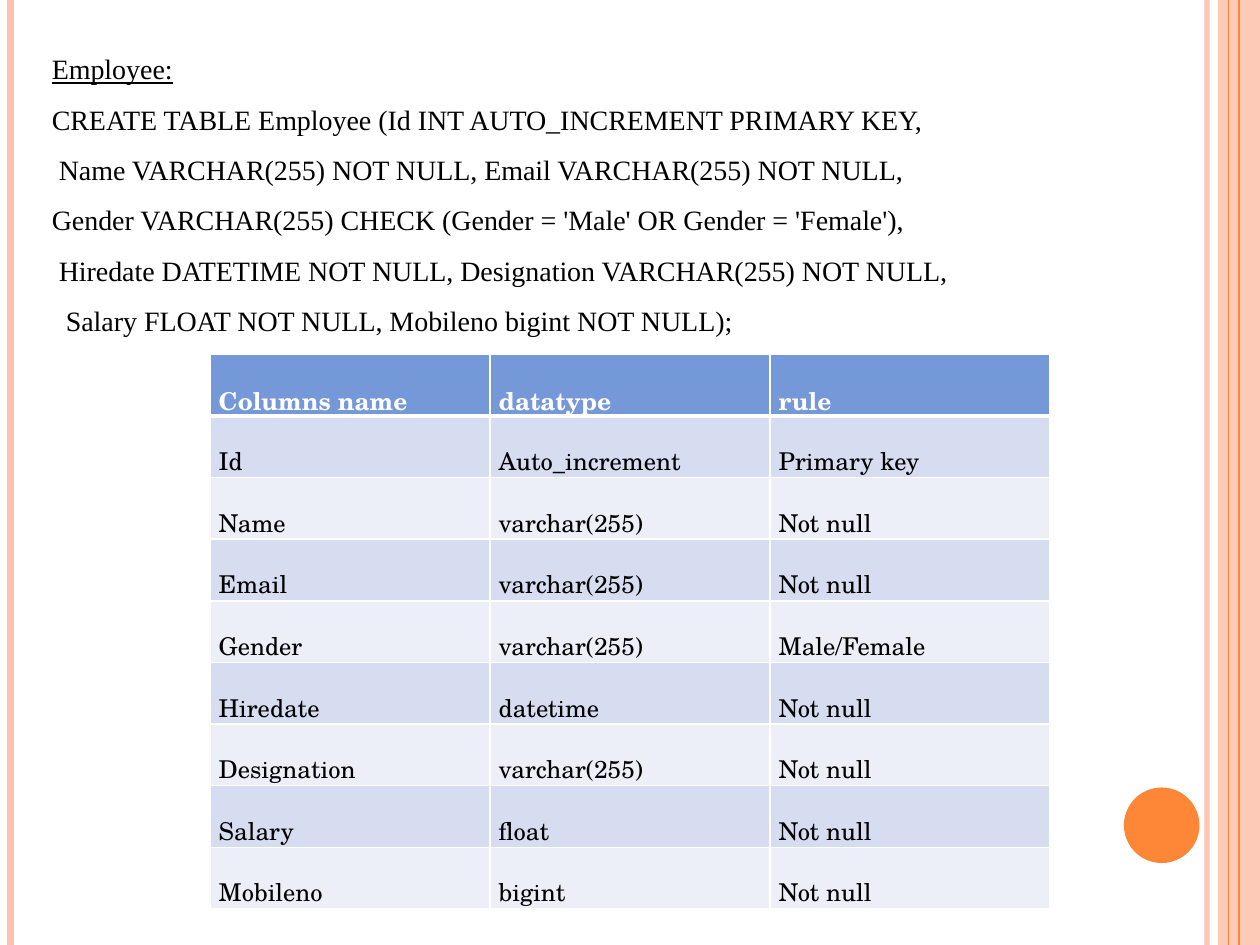
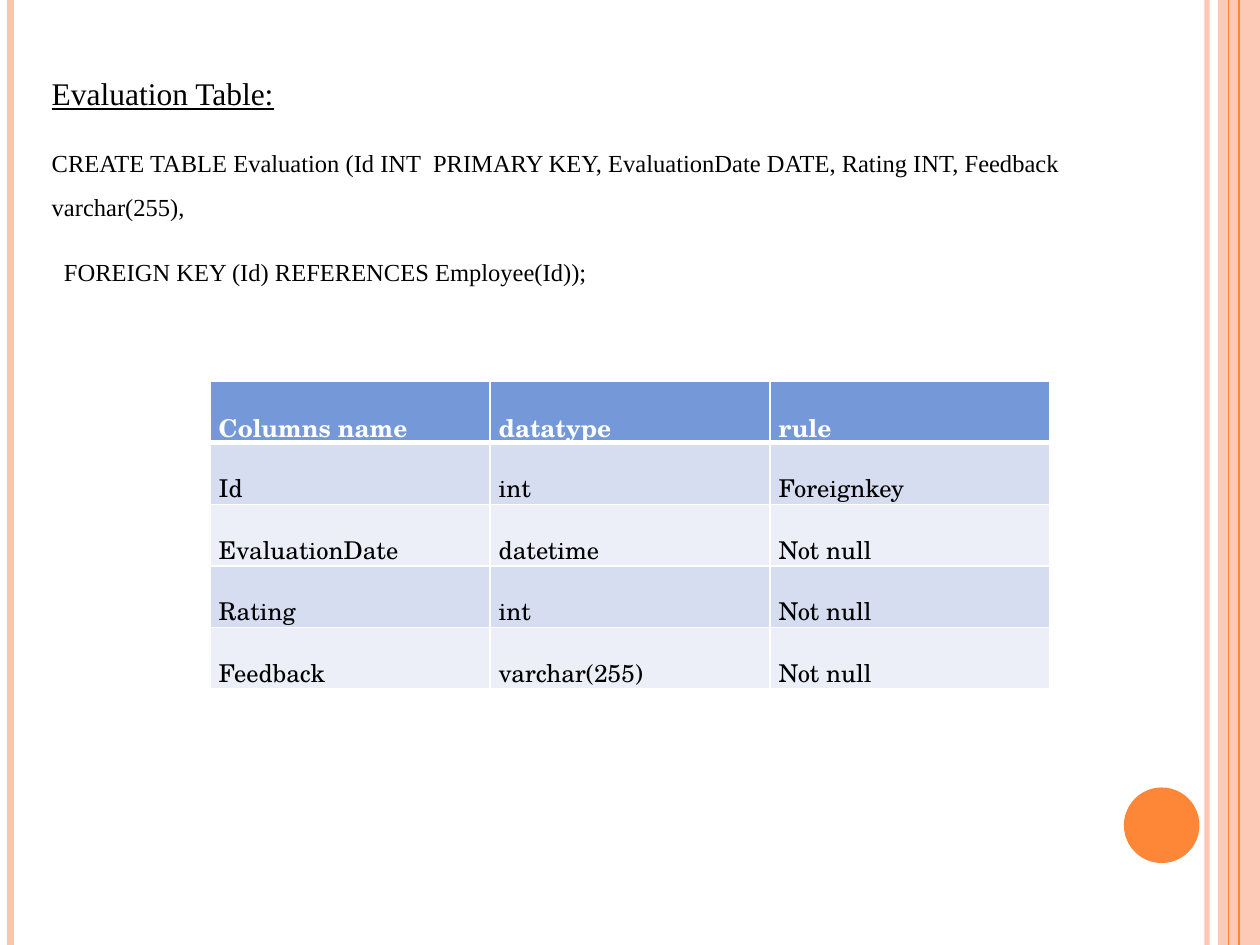
import pptx
import pptx.util
import pptx.dml.color
import pptx.enum.shapes
import pptx.enum.text
import pptx.oxml
import pptx.oxml.ns
from lxml import etree

Pt = pptx.util.Pt
qn = pptx.oxml.ns.qn
Kind = pptx.enum.shapes.MSO_SHAPE
Align = pptx.enum.text.PP_ALIGN

PEACH, ORANGE, WHITE, BLACK = "FEC3AE", "FE8637", "FFFFFF", "000000"
HEAD, BANDS = "7598D9", ("D6DDF1", "ECEFF8")
WIDE, HIGH = 720, 540
ROW, COL, LEFT = 35.2, 160, 120
# x, width, colour, opacity in percent
RULES = [(689.8, 3, PEACH, 93), (6, 4.5, PEACH, 100),
         (708, 1.5, ORANGE, 100), (702, 0.75, ORANGE, 100)]
TITLES = ("Columns name", "datatype", "rule")

# Each statement line is (indent, text)
PAGES = [
    dict(box=(22.5, 16.5, 658, 316), align=Align.JUSTIFY, after=0,
         sizes=(16, 16), top=202.5,
         lines=[(0, "Employee:"),
                (0, "CREATE TABLE Employee (Id INT AUTO_INCREMENT PRIMARY KEY,"),
                (4, "Name VARCHAR(255) NOT NULL, Email VARCHAR(255) NOT NULL,"),
                (0, "Gender VARCHAR(255) CHECK (Gender = 'Male' OR Gender = 'Female'),"),
                (4, "Hiredate DATETIME NOT NULL, Designation VARCHAR(255) NOT NULL,"),
                (8, "Salary FLOAT NOT NULL, Mobileno bigint NOT NULL);")],
         rows=[("Id", "Auto_increment", "Primary key"),
               ("Name", "varchar(255)", "Not null"),
               ("Email", "varchar(255)", "Not null"),
               ("Gender", "varchar(255)", "Male/Female"),
               ("Hiredate", "datetime", "Not null"),
               ("Designation", "varchar(255)", "Not null"),
               ("Salary", "float", "Not null"),
               ("Mobileno", "bigint", "Not null")]),
    dict(box=(22.5, 28, 670, 250), align=Align.LEFT, after=12,
         sizes=(18, 14), top=217.75,
         lines=[(0, "Evaluation Table:"),
                (0, "CREATE TABLE Evaluation (Id INT  PRIMARY KEY, EvaluationDate DATE, "
                    "Rating INT, Feedback varchar(255),"),
                (7, "FOREIGN KEY (Id) REFERENCES Employee(Id));")],
         rows=[("Id", "int", "Foreignkey"),
               ("EvaluationDate", "datetime", "Not null"),
               ("Rating", "int", "Not null"),
               ("Feedback", "varchar(255)", "Not null")]),
]


def paint(part, tint, alpha=100):
    """Give a fill, or the fill of a line or font, a solid colour and opacity."""
    fill = getattr(part, "fill", part)
    fill.solid()
    fill.fore_color.rgb = pptx.dml.color.RGBColor.from_string(tint)
    if alpha < 100:
        node = fill._xPr.find(".//" + qn("a:srgbClr"))
        etree.SubElement(node, qn("a:alpha"), val=str(alpha * 1000))


def edge(cell, side, width):
    """Draw one white border of a cell."""
    line = etree.SubElement(cell._tc.get_or_add_tcPr(), qn("a:ln" + side),
                            w=str(Pt(width)))
    solid = etree.SubElement(line, qn("a:solidFill"))
    etree.SubElement(solid, qn("a:srgbClr"), val=WHITE)


deck = pptx.Presentation()
deck.slide_width, deck.slide_height = Pt(WIDE), Pt(HIGH)

for page in PAGES:
    slide = deck.slides.add_slide(deck.slide_layouts[6])
    shapes = slide.shapes
    paint(slide.background.fill, WHITE)

    # Side bands
    band = shapes.add_shape(Kind.RECTANGLE, Pt(696), 0, Pt(24), Pt(HIGH))
    disc = shapes.add_shape(Kind.OVAL, Pt(642.25), Pt(450), Pt(43.2), Pt(43.2))
    for shape, tint, alpha in ((band, PEACH, 87), (disc, ORANGE, 100)):
        shape.shadow.inherit = False
        paint(shape.fill, tint, alpha)
        shape.line.fill.background()
    for x, width, tint, alpha in RULES:
        rule = shapes.add_connector(pptx.enum.shapes.MSO_CONNECTOR.STRAIGHT,
                                    Pt(x), 0, Pt(x), Pt(HIGH))
        rule.line.width = Pt(width)
        paint(rule.line, tint, alpha)
        etree.SubElement(rule._element.spPr, qn("a:effectLst"))

    # SQL statement
    frame = shapes.add_textbox(*map(Pt, page["box"])).text_frame
    frame.word_wrap = True
    for i, (inset, text) in enumerate(page["lines"]):
        para = frame.paragraphs[0] if i == 0 else frame.add_paragraph()
        para.text = text
        para.alignment = page["align"]
        para.line_spacing = 1.5
        para.space_after = Pt(page["after"])
        para.font.name = "Times New Roman"
        para.font.size = Pt(page["sizes"][min(i, 1)])
        para.font.underline = i == 0
        paint(para.font, BLACK)
        if inset:
            para._p.get_or_add_pPr().set("marL", str(Pt(inset)))

    # Column table
    rows = [TITLES] + page["rows"]
    table = shapes.add_table(len(rows), 3, Pt(LEFT), Pt(page["top"]),
                             Pt(3 * COL), Pt(ROW * len(rows))).table
    for col in table.columns:
        col.width = Pt(COL)
    for r, row in enumerate(rows):
        table.rows[r].height = Pt(ROW)
        for c, text in enumerate(row):
            cell = table.cell(r, c)
            cell.margin_left = cell.margin_right = Pt(5)
            cell.margin_top = cell.margin_bottom = Pt(5)
            for side in "LRTB":
                thick = (r, side) in ((0, "B"), (1, "T"))
                edge(cell, side, 3 if thick else 1)
            paint(cell.fill, BANDS[(r - 1) % 2] if r else HEAD)
            para = cell.text_frame.paragraphs[0]
            para.text = text
            para.line_spacing = 1.5
            para.font.name = "TeX Gyre Schola"
            para.font.size = Pt(14)
            para.font.bold = r == 0
            paint(para.font, BLACK if r else WHITE)

deck.save("out.pptx")
